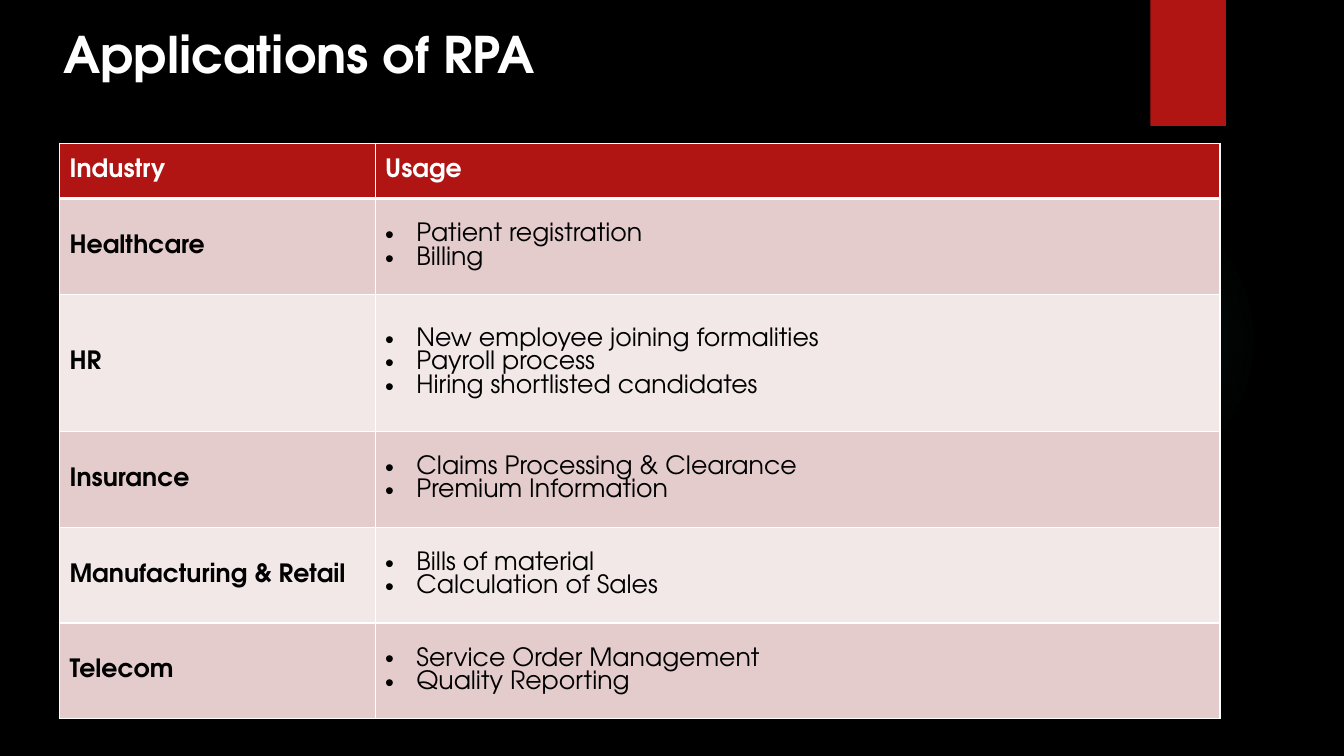
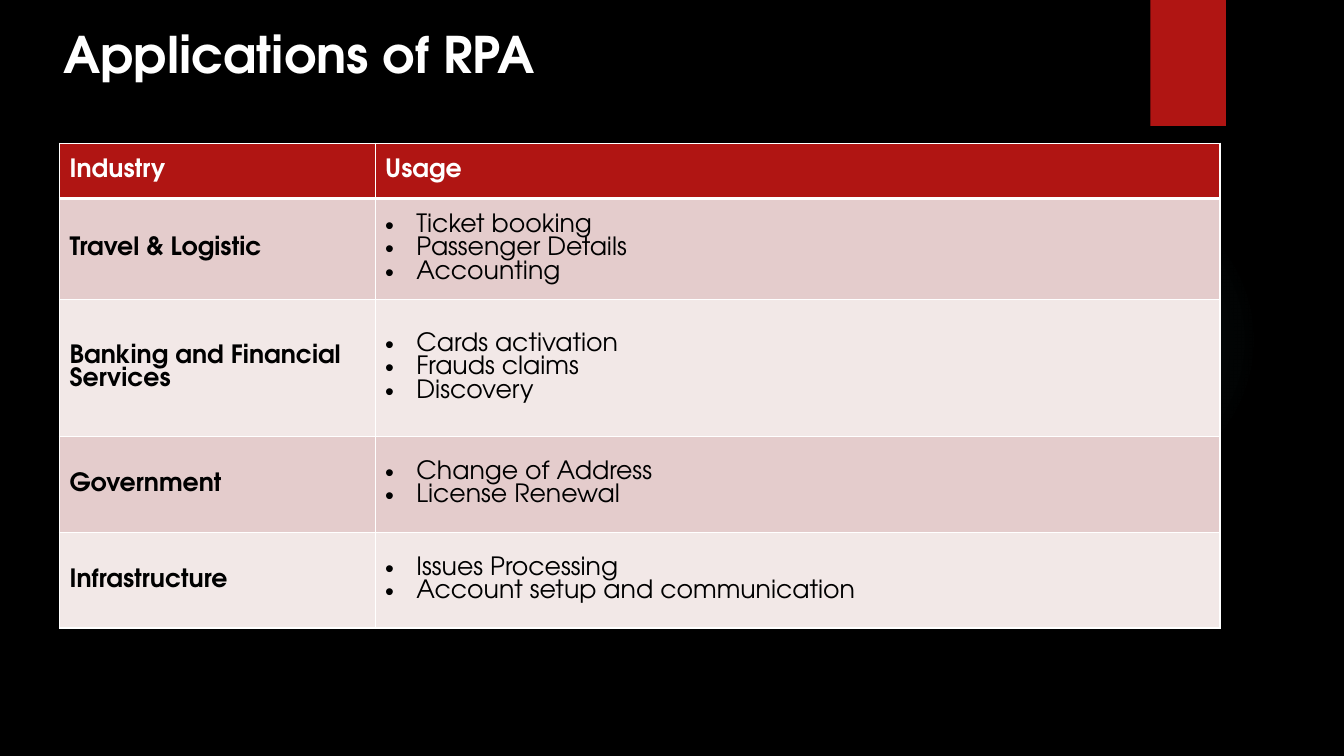
import collections

import pptx
import pptx.dml.color
import pptx.enum.shapes
import pptx.enum.text
import pptx.oxml
import pptx.oxml.ns
import pptx.util

RGBColor = pptx.dml.color.RGBColor
BLACK = RGBColor(0x00, 0x00, 0x00)
WHITE = RGBColor(0xFF, 0xFF, 0xFF)
RED = RGBColor(0xB0, 0x15, 0x13)
TEAL = RGBColor(0x50, 0xB9, 0xC1)
BAND_COLORS = (RGBColor(0xE4, 0xCC, 0xCC), RGBColor(0xF2, 0xE8, 0xE7))

FONT = "TeX Gyre Adventor"
TITLE = "Applications of RPA"
HEADINGS = ("Industry", "Usage")
NAMESPACE = pptx.oxml.ns.nsdecls("a")
BULLET_INDENT = pptx.util.Inches(0.31)
THIN, THICK = pptx.util.Pt(1), pptx.util.Pt(3)
GLOW_STOPS = ((0, 7), (36, 6), (69, 0))

Box = collections.namedtuple("Box", "left top width height")


def inches_box(left, top, width, height):
    """Return a box in slide units from lengths in inches."""
    return Box(*map(pptx.util.Inches, (left, top, width, height)))


GLOW_BOX = inches_box(9.41, 1.83, 3.08, 3.08)
RIBBON_BOX = inches_box(11.41, 0, 0.75, 1.25)
TITLE_BOX = inches_box(0.53, 0.18, 5.84, 0.8)
TABLE_BOX = inches_box(0.59, 1.42, 11.51, 5.73)
COLUMN_SHARES = (0.272, 0.728)
HEADER_SHARE = 0.096
ROW_SHARES = (0.166, 0.237, 0.166, 0.166, 0.166)

SLIDES = (
    (
        ("Healthcare", ("Patient registration", "Billing")),
        ("HR", ("New employee joining formalities", "Payroll process",
                "Hiring shortlisted candidates")),
        ("Insurance", ("Claims Processing & Clearance", "Premium Information")),
        ("Manufacturing & Retail", ("Bills of material", "Calculation of Sales")),
        ("Telecom", ("Service Order Management", "Quality Reporting")),
    ),
    (
        ("Travel & Logistic", ("Ticket booking", "Passenger Details", "Accounting")),
        ("Banking and Financial Services", ("Cards activation", "Frauds claims",
                                            "Discovery")),
        ("Government", ("Change of Address", "License Renewal")),
        ("Infrastructure", ("Issues Processing", "Account setup and communication")),
    ),
)


def style_text(text_frame, size, color, bold):
    """Format every run of a text frame alike."""
    for paragraph in text_frame.paragraphs:
        for run in paragraph.runs:
            run.font.name = FONT
            run.font.size = pptx.util.Pt(size)
            run.font.color.rgb = color
            run.font.bold = bold


def add_plain_shape(slide, kind, box):
    """Add a preset shape with neither line nor shadow."""
    shape = slide.shapes.add_shape(kind, *box)
    shape.shadow.inherit = False
    shape.line.fill.background()
    return shape


def add_glow(slide, box):
    """Add the faint round glow that fades towards its edge."""
    shape = add_plain_shape(slide, pptx.enum.shapes.MSO_SHAPE.OVAL, box)
    stops = "".join(
        f'<a:gs pos="{position * 1000}"><a:srgbClr val="{TEAL}">'
        f'<a:alpha val="{opacity * 1000}"/></a:srgbClr></a:gs>'
        for position, opacity in GLOW_STOPS
    )
    gradient = pptx.oxml.parse_xml(
        f'<a:gradFill {NAMESPACE} rotWithShape="1"><a:gsLst>{stops}</a:gsLst>'
        '<a:path path="circle"><a:fillToRect l="50000" t="50000" r="50000" b="50000"/>'
        "</a:path></a:gradFill>"
    )
    properties = shape.element.spPr
    properties.find(pptx.oxml.ns.qn("a:prstGeom")).addnext(gradient)


def add_ribbon(slide, box):
    """Add the red ribbon hanging from the top edge."""
    shape = add_plain_shape(slide, pptx.enum.shapes.MSO_SHAPE.RECTANGLE, box)
    shape.fill.solid()
    shape.fill.fore_color.rgb = RED


def add_title(slide, box):
    """Add the slide title."""
    text_frame = slide.shapes.add_textbox(*box).text_frame
    text_frame.word_wrap = True
    text_frame.text = TITLE
    style_text(text_frame, 36, WHITE, True)


def add_bullets(text_frame):
    """Give each paragraph a round bullet and a hanging indent."""
    for paragraph in text_frame.paragraphs:
        properties = paragraph._p.get_or_add_pPr()
        properties.set("marL", str(BULLET_INDENT))
        properties.set("indent", str(-BULLET_INDENT))
        for bullet in ('buFont typeface="Arial"', 'buChar char="•"'):
            name, attribute = bullet.split(" ")
            properties.append(pptx.oxml.parse_xml(f"<a:{name} {NAMESPACE} {attribute}/>"))


def set_borders(cell, top, bottom):
    """Draw white borders of the given widths, with thin sides."""
    properties = cell._tc.get_or_add_tcPr()
    for side, width in (("L", THIN), ("R", THIN), ("T", top), ("B", bottom)):
        properties.append(pptx.oxml.parse_xml(
            f'<a:ln{side} {NAMESPACE} w="{width}"><a:solidFill>'
            f'<a:srgbClr val="{WHITE}"/></a:solidFill></a:ln{side}>'
        ))


def fill_cell(cell, text, background, color, bold, top=THIN, bottom=THIN):
    """Write and format one table cell."""
    set_borders(cell, top, bottom)
    cell.fill.solid()
    cell.fill.fore_color.rgb = background
    cell.vertical_anchor = pptx.enum.text.MSO_ANCHOR.MIDDLE
    cell.text_frame.text = text
    style_text(cell.text_frame, 18, color, bold)


def add_usage_table(slide, box, industries):
    """Add the table of industries and their uses, sized by shares of the box."""
    shares = (HEADER_SHARE,) + ROW_SHARES[:len(industries)]
    height = int(box.height * sum(shares))
    table = slide.shapes.add_table(
        len(shares), len(HEADINGS), box.left, box.top, box.width, height).table
    for column, share in zip(table.columns, COLUMN_SHARES):
        column.width = int(box.width * share)
    for row, share in zip(table.rows, shares):
        row.height = int(box.height * share)
    for index, heading in enumerate(HEADINGS):
        fill_cell(table.cell(0, index), heading, RED, WHITE, True, bottom=THICK)
    for index, (industry, uses) in enumerate(industries):
        band = BAND_COLORS[index % 2]
        top = THIN if index else THICK
        name_cell, usage_cell = table.rows[index + 1].cells
        fill_cell(name_cell, industry, band, BLACK, True, top)
        fill_cell(usage_cell, "\n".join(uses), band, BLACK, False, top)
        add_bullets(usage_cell.text_frame)


def add_applications_slide(presentation, industries):
    """Add one black slide with the shared decoration and a usage table."""
    slide = presentation.slides.add_slide(presentation.slide_layouts[6])
    slide.background.fill.solid()
    slide.background.fill.fore_color.rgb = BLACK
    add_glow(slide, GLOW_BOX)
    add_ribbon(slide, RIBBON_BOX)
    add_usage_table(slide, TABLE_BOX, industries)
    add_title(slide, TITLE_BOX)


def main():
    """Build and save the presentation."""
    presentation = pptx.Presentation()
    presentation.slide_width = pptx.util.Inches(13.33)
    presentation.slide_height = pptx.util.Inches(7.5)
    for industries in SLIDES:
        add_applications_slide(presentation, industries)
    presentation.save("out.pptx")


if __name__ == "__main__":
    main()
